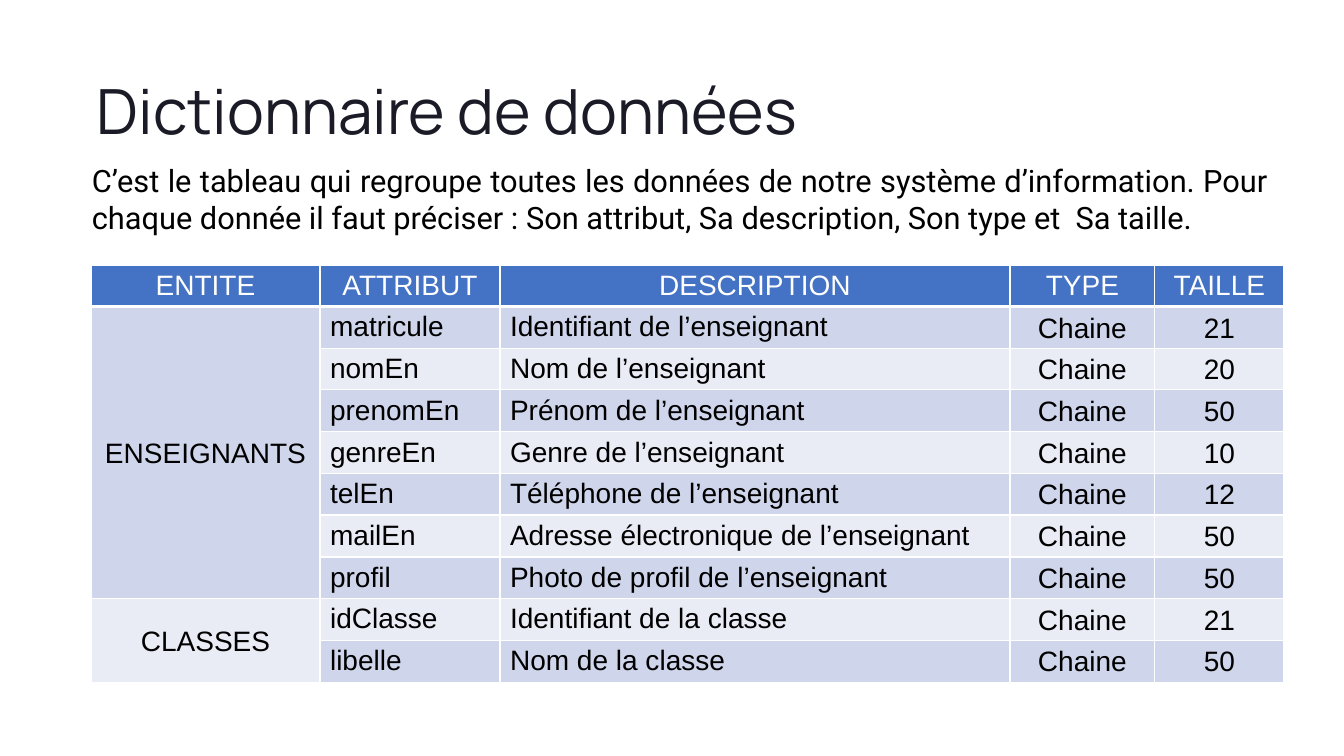
import pptx
import pptx.util
import pptx.dml.color
import pptx.enum.text
import lxml.etree

ALIGN = pptx.enum.text.PP_ALIGN
MIDDLE = pptx.enum.text.MSO_ANCHOR.MIDDLE


def px(count):
    return pptx.util.Emu(round(count * 914400 / 100.8))


def color(code):
    return pptx.dml.color.RGBColor.from_string(code)


deck = pptx.Presentation()
deck.slide_width, deck.slide_height = px(1344), px(756)
slide = deck.slides.add_slide(deck.slide_layouts[6])

title = slide.shapes.add_textbox(px(97), px(69), px(837), px(78)).text_frame
title.margin_left = title.margin_right = title.margin_top = title.margin_bottom = 0
title.word_wrap = False
line = title.paragraphs[0]
line.text = "Dictionnaire de données"
line.line_spacing = pptx.util.Pt(55.5)
line.font.name = "Manrope"
line.font.size = pptx.util.Pt(44.5)
line.font.color.rgb = color("1B1B27")

widths = [229, 180, 510, 145, 129]
heads = ["ENTITE", "ATTRIBUT", "DESCRIPTION", "TYPE", "TAILLE"]
groups = [
    ("ENSEIGNANTS", [
        ("matricule", "Identifiant de l’enseignant", "21"),
        ("nomEn", "Nom de l’enseignant", "20"),
        ("prenomEn", "Prénom de l’enseignant", "50"),
        ("genreEn", "Genre de l’enseignant", "10"),
        ("telEn", "Téléphone de l’enseignant", "12"),
        ("mailEn", "Adresse électronique de l’enseignant", "50"),
        ("profil", "Photo de profil de l’enseignant", "50"),
    ]),
    ("CLASSES", [
        ("idClasse", "Identifiant de la classe", "21"),
        ("libelle", "Nom de la classe", "50"),
    ]),
]
rows = [heads]
spans = []
for entity, fields in groups:
    spans.append((len(rows), len(rows) + len(fields) - 1))
    for place, (name, label, size) in enumerate(fields):
        rows.append(["" if place else entity, name, label, "Chaine", size])

high = 413
table = slide.shapes.add_table(len(rows), len(widths), px(91), px(265), px(sum(widths)), px(high)).table
for column, width in zip(table.columns, widths):
    column.width = px(width)

for r, values in enumerate(rows):
    table.rows[r].height = px(high * (r + 1) // len(rows) - high * r // len(rows))
    for c, value in enumerate(values):
        cell = table.cell(r, c)
        cell.margin_top, cell.margin_bottom = px(5), px(3)
        if r and c not in (1, 2):
            cell.vertical_anchor = MIDDLE
        line = cell.text_frame.paragraphs[0]
        line.text = value
        line.alignment = ALIGN.LEFT if r and c in (1, 2) else ALIGN.CENTER
        line.font.name = "Arial"
        line.font.size = pptx.util.Pt(20)
        line.font.bold = False
        line.font.color.rgb = color("000000" if r else "FFFFFF")
        props = cell._tc.get_or_add_tcPr()
        for side in ("lnL", "lnR", "lnT", "lnB"):
            edge = lxml.etree.SubElement(props, pptx.oxml.ns.qn("a:" + side), w="12700")
            paint = lxml.etree.SubElement(edge, pptx.oxml.ns.qn("a:solidFill"))
            lxml.etree.SubElement(paint, pptx.oxml.ns.qn("a:srgbClr"), val="FFFFFF")
        if r == 0:
            edge.set("w", "38100")
        cell.fill.solid()
        cell.fill.fore_color.rgb = color(("E9EBF5" if r % 2 == 0 else "CFD5EA") if r else "4472C4")

for first, last in spans:
    table.cell(first, 0).merge(table.cell(last, 0))

intro = slide.shapes.add_textbox(px(82), px(157), px(1196), px(85)).text_frame
intro.word_wrap = True
intro.auto_size = pptx.enum.text.MSO_AUTO_SIZE.SHAPE_TO_FIT_TEXT
line = intro.paragraphs[0]
line.text = (
    "C’est le tableau qui regroupe toutes les données de notre système d’information. "
    "Pour chaque donnée il faut préciser : Son attribut, Sa description, Son type et  Sa taille."
)
line.alignment = ALIGN.JUSTIFY
line.font.name = "Roboto"
line.font.size = pptx.util.Pt(22)
line.font.color.rgb = color("000000")

deck.save("out.pptx")
